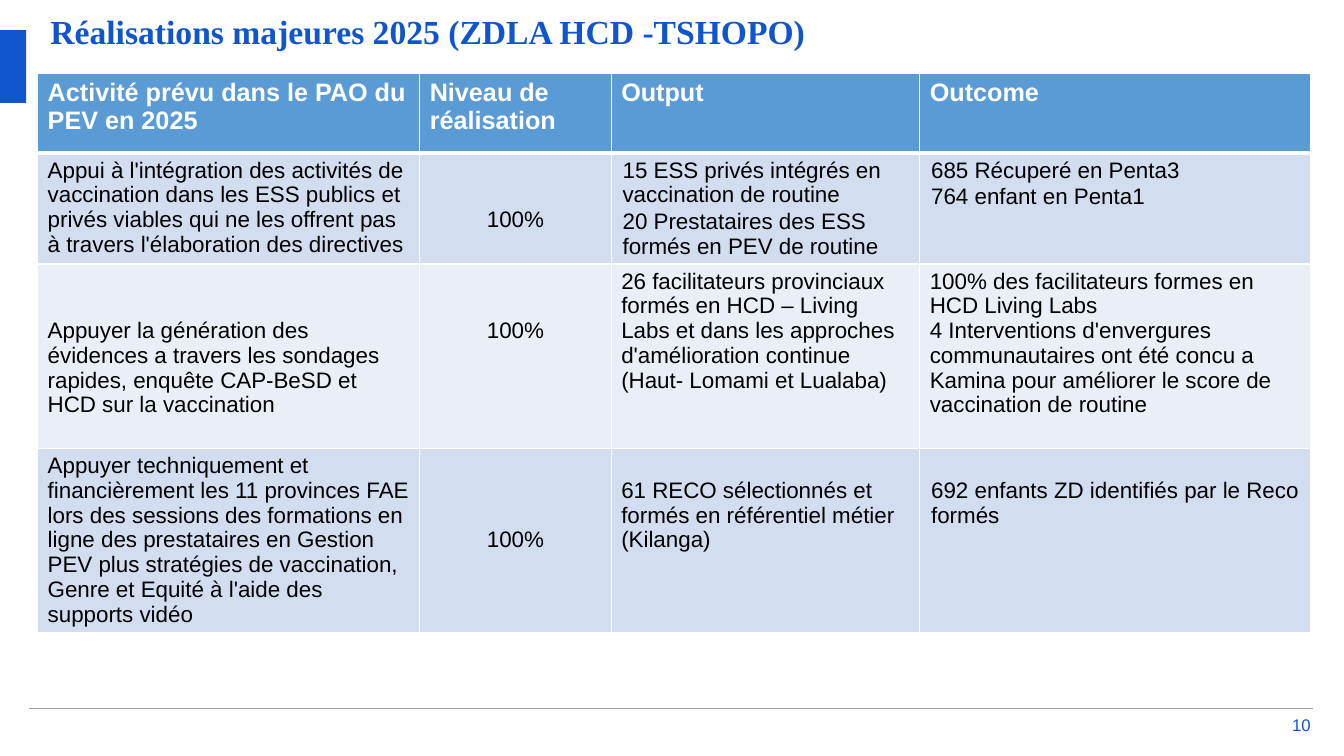
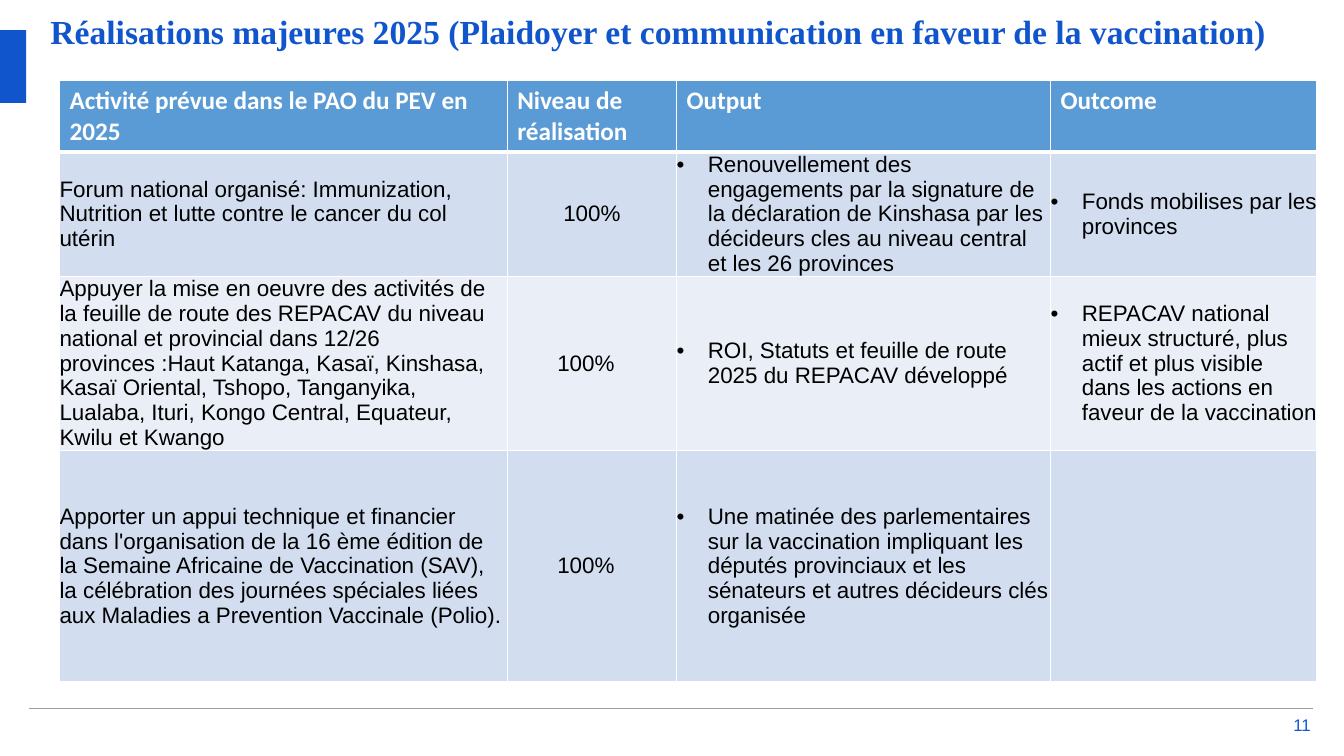
from dataclasses import dataclass

from lxml.etree import SubElement
from pptx import Presentation
from pptx.dml.color import RGBColor
from pptx.enum.shapes import MSO_CONNECTOR, MSO_SHAPE
from pptx.enum.text import MSO_ANCHOR, MSO_AUTO_SIZE, PP_ALIGN
from pptx.oxml.ns import qn
from pptx.util import Inches, Pt


@dataclass(frozen=True)
class Theme:
    accent: str = "1155CC"
    rule: str = "9E9E9E"
    header: str = "5B9BD5"
    bands: tuple = ("D2DEEF", "EAEFF7")
    light: str = "FFFFFF"
    dark: str = "000000"
    title_font: str = "Times New Roman"
    body_font: str = "Arial"
    title_size: int = 24
    header_size: int = 18
    body_size: int = 16
    number_size: int = 12
    body_line: float = 17.7
    paragraph_gap: float = 1.1


@dataclass(frozen=True)
class Cell:
    paragraphs: tuple = ()
    align: PP_ALIGN = PP_ALIGN.LEFT
    lines_above: int = 0
    left: float = 0
    right: float = 0
    gap: float = 0
    bullet: str = ""


def write(frame, paragraphs, *, font, size, color, bold=False,
          align=PP_ALIGN.LEFT, line=None, gap=0, bullet="", indent=0):
    frame.word_wrap = True
    for index, text in enumerate(paragraphs):
        paragraph = frame.paragraphs[0] if index == 0 else frame.add_paragraph()
        paragraph.alignment = align
        if line:
            paragraph.line_spacing = Pt(line)
        if index and gap:
            paragraph.space_before = Pt(gap)
        if bullet:
            properties = paragraph._p.get_or_add_pPr()
            properties.set("marL", str(indent))
            properties.set("indent", str(-indent))
            SubElement(properties, qn("a:buFont"), typeface=font)
            SubElement(properties, qn("a:buChar"), char=bullet)
        run = paragraph.add_run()
        run.text = text
        run.font.name = font
        run.font.size = Pt(size)
        run.font.bold = bold
        run.font.color.rgb = RGBColor.from_string(color)


def paint(shape, color):
    shape.fill.solid()
    shape.fill.fore_color.rgb = RGBColor.from_string(color)


def set_margins(target, left=0, top=0, right=0, bottom=0):
    target.margin_left, target.margin_top = left, top
    target.margin_right, target.margin_bottom = right, bottom


def add_borders(cell, color, top=1, bottom=1):
    properties = cell._tc.get_or_add_tcPr()
    for side, width in (("L", 1), ("R", 1), ("T", top), ("B", bottom)):
        line = SubElement(properties, qn(f"a:ln{side}"), w=str(Pt(width)))
        fill = SubElement(line, qn("a:solidFill"))
        SubElement(fill, qn("a:srgbClr"), val=color)


class Deck:
    def __init__(self, theme):
        self.theme = theme
        self.presentation = Presentation()
        self.presentation.slide_width = Inches(13.33)
        self.presentation.slide_height = Inches(7.5)
        self.slide = None

    def across(self, percent):
        return round(self.presentation.slide_width * percent / 100)

    def down(self, percent):
        return round(self.presentation.slide_height * percent / 100)

    def box(self, left, top, width, height):
        return self.across(left), self.down(top), self.across(width), self.down(height)

    def add_slide(self, title, number):
        layout = self.presentation.slide_layouts.get_by_name("Title Only")
        self.slide = self.presentation.slides.add_slide(layout)
        self.add_band()
        self.add_rule()
        self.add_number(number)
        self.add_title(title)

    def add_band(self):
        band = self.slide.shapes.add_shape(MSO_SHAPE.RECTANGLE, *self.box(0, 4, 1.95, 9.6))
        band.shadow.inherit = False
        paint(band, self.theme.accent)
        band.line.fill.background()

    def add_rule(self):
        height = self.down(93.73)
        rule = self.slide.shapes.add_connector(
            MSO_CONNECTOR.STRAIGHT, self.across(2.18), height, self.across(97.67), height)
        rule.line.color.rgb = RGBColor.from_string(self.theme.rule)
        rule.line.width = Pt(1)
        SubElement(rule._element.spPr, qn("a:effectLst"))

    def add_number(self, number):
        frame = self.slide.shapes.add_textbox(*self.box(95.65, 94.67, 1.88, 2.4)).text_frame
        set_margins(frame)
        frame.vertical_anchor = MSO_ANCHOR.MIDDLE
        write(frame, [str(number)], font=self.theme.body_font, size=self.theme.number_size,
              color=self.theme.accent, align=PP_ALIGN.RIGHT)

    def add_title(self, text):
        title = self.slide.shapes.title
        title.left, title.top, title.width, title.height = self.box(3.75, 1.47, 92.5, 7.07)
        frame = title.text_frame
        set_margins(frame)
        frame.auto_size = MSO_AUTO_SIZE.NONE
        frame.vertical_anchor = MSO_ANCHOR.TOP
        write(frame, [text], font=self.theme.title_font, size=self.theme.title_size,
              color=self.theme.accent, bold=True)

    def add_table(self, left, top, columns, rows, headings, body, header_font, compact=False):
        table = self.slide.shapes.add_table(
            len(rows), len(columns), *self.box(left, top, sum(columns), sum(rows))).table
        for column, width in zip(table.columns, columns):
            column.width = self.across(width)
        for row, height in zip(table.rows, rows):
            row.height = self.down(height)
        for index, heading in enumerate(headings):
            self.fill_heading(table.cell(0, index), heading, header_font)
        for row_index, contents in enumerate(body, 1):
            for column_index, content in enumerate(contents):
                cell = table.cell(row_index, column_index)
                add_borders(cell, self.theme.light, top=3 if row_index == 1 else 1)
                paint(cell, self.theme.bands[(row_index - 1) % 2])
                self.fill_cell(cell, content, compact)

    def fill_heading(self, cell, text, font):
        add_borders(cell, self.theme.light, bottom=3)
        paint(cell, self.theme.header)
        write(cell.text_frame, [text], font=font, size=self.theme.header_size,
              color=self.theme.light, bold=True)

    def fill_cell(self, cell, content, compact):
        theme = self.theme
        side, edge = (0, 0) if compact else (Inches(0.1), Inches(0.05))
        offset = Pt(content.lines_above * theme.body_line)
        set_margins(cell, side + self.across(content.left), edge + offset,
                    side + self.across(content.right), edge)
        cell.vertical_anchor = MSO_ANCHOR.MIDDLE if compact else MSO_ANCHOR.TOP
        write(cell.text_frame, content.paragraphs, font=theme.body_font,
              size=theme.body_size, color=theme.dark, align=content.align,
              line=theme.body_line, gap=content.gap, bullet=content.bullet,
              indent=self.across(2.33))


def plain(*paragraphs, **options):
    return Cell(paragraphs, **options)


def spaced(*paragraphs, **options):
    return plain(*paragraphs, left=0.1, gap=Theme.paragraph_gap, **options)


def bulleted(text):
    return plain(text, bullet="•")


def complete(**options):
    return plain("100%", align=PP_ALIGN.CENTER, **options)


def add_zero_dose_slide(deck):
    deck.add_slide("Réalisations majeures 2025 (ZDLA HCD -TSHOPO)", 10)
    deck.add_table(
        2.8, 9.73, (28.43, 14.25, 22.96, 29.11), (10.53, 14.67, 24.4, 24.4),
        ("Activité prévu dans le PAO du PEV en 2025", "Niveau de réalisation",
         "Output", "Outcome"),
        (
            (plain("Appui à l'intégration des activités de vaccination dans les ESS publics "
                   "et privés viables qui ne les offrent pas à travers l'élaboration des "
                   "directives"),
             complete(lines_above=2),
             spaced("15 ESS privés intégrés en vaccination de routine",
                    "20 Prestataires des ESS formés en PEV de routine"),
             spaced("685 Récuperé en Penta3", "764 enfant en Penta1")),
            (plain("Appuyer la génération des évidences a travers les sondages rapides, "
                   "enquête CAP-BeSD et HCD sur la vaccination", lines_above=2),
             complete(lines_above=2),
             plain("26 facilitateurs provinciaux formés en HCD – Living Labs et dans les "
                   "approches d'amélioration continue (Haut- Lomami et Lualaba)"),
             plain("100% des facilitateurs formes en HCD Living Labs",
                   "4 Interventions d'envergures communautaires ont été concu a Kamina pour "
                   "améliorer le score de vaccination de routine")),
            (plain("Appuyer techniquement et financièrement les 11 provinces FAE lors des "
                   "sessions des formations en ligne des prestataires en Gestion PEV plus "
                   "stratégies de vaccination, Genre et Equité à l'aide des supports vidéo"),
             complete(lines_above=3),
             plain("61 RECO sélectionnés et formés en référentiel métier (Kilanga)",
                   lines_above=1),
             spaced("692 enfants ZD identifiés par le Reco formés", lines_above=1)),
        ),
        header_font=deck.theme.body_font)


def add_advocacy_slide(deck):
    deck.add_slide("Réalisations majeures 2025 (Plaidoyer et communication en faveur de la "
                   "vaccination)", 11)
    deck.add_table(
        4.43, 10.67, (33.31, 12.6, 27.83, 19.83), (9.47, 16.4, 23.07, 30.6),
        ("Activité prévue dans le PAO du PEV en 2025", "Niveau de réalisation",
         "Output", "Outcome"),
        (
            (plain("Forum national organisé: Immunization, Nutrition et lutte contre le "
                   "cancer du col utérin"),
             complete(),
             bulleted("Renouvellement des engagements par la signature de la déclaration de "
                      "Kinshasa par les décideurs cles au niveau central et les 26 provinces"),
             bulleted("Fonds mobilises par les provinces")),
            (plain("Appuyer la mise en oeuvre des activités de la feuille de route des "
                   "REPACAV du niveau national et provincial dans 12/26 provinces :Haut "
                   "Katanga, Kasaï, Kinshasa, Kasaï Oriental, Tshopo, Tanganyika, Lualaba, "
                   "Ituri, Kongo Central, Equateur, Kwilu et Kwango"),
             complete(right=0.9),
             bulleted("ROI, Statuts et feuille de route 2025 du REPACAV développé"),
             bulleted("REPACAV national mieux structuré, plus actif et plus visible dans les "
                      "actions en faveur de la vaccination")),
            (plain("Apporter un appui technique et financier dans l'organisation de la 16 "
                   "ème édition de la Semaine Africaine de Vaccination (SAV), la célébration "
                   "des journées spéciales liées aux Maladies a Prevention Vaccinale "
                   "(Polio)."),
             complete(right=0.9),
             bulleted("Une matinée des parlementaires sur la vaccination impliquant les "
                      "députés provinciaux et les sénateurs et autres décideurs clés "
                      "organisée"),
             Cell()),
        ),
        header_font="Calibri", compact=True)


def main():
    deck = Deck(Theme())
    add_zero_dose_slide(deck)
    add_advocacy_slide(deck)
    deck.presentation.save("out.pptx")


if __name__ == "__main__":
    main()
